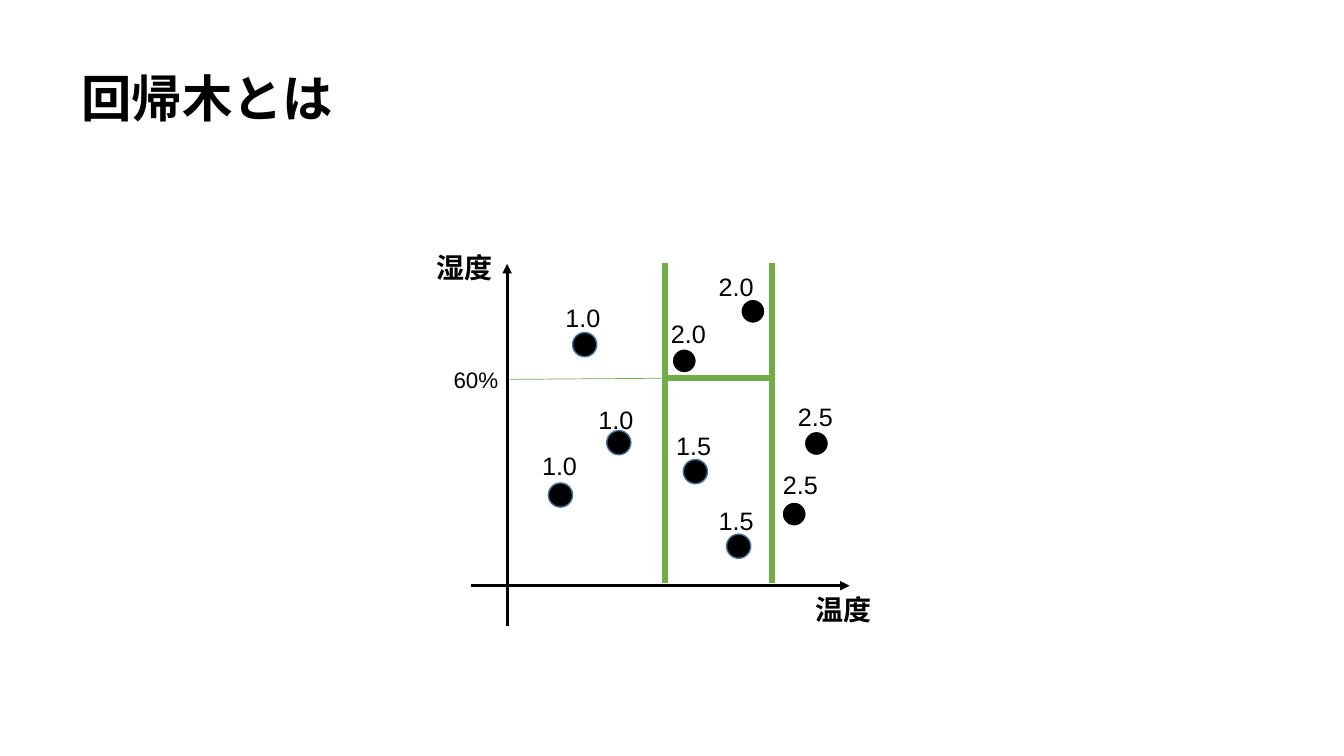
from dataclasses import dataclass

from lxml.etree import SubElement
from pptx import Presentation
from pptx.dml.color import RGBColor
from pptx.enum.shapes import MSO_CONNECTOR as Connector, MSO_SHAPE as Preset
from pptx.enum.text import MSO_ANCHOR as Anchor
from pptx.oxml.ns import qn
from pptx.util import Cm, Pt


@dataclass(frozen=True)
class Theme:
    ink: RGBColor = RGBColor(0x00, 0x00, 0x00)
    split: RGBColor = RGBColor(0x70, 0xAD, 0x47)
    blue_rim: RGBColor = RGBColor(0x43, 0x73, 0x9E)
    white_rim: RGBColor = RGBColor(0xFF, 0xFF, 0xFF)
    title_font: str = "Montserrat"
    body_font: str = "Arial"
    title_size: int = 36
    axis_size: int = 20
    value_size: int = 18
    tick_size: int = 16


THEME = Theme()

DOT_SIZE = 0.61
VALUE_BOX = (1.4, 1.02)
AXIS_BOX = (2.26, 1.12)

ORIGIN_X, ORIGIN_Y = 12.78, 14.76
SPLIT_TOP, SPLIT_BOTTOM = 6.63, 14.68
LOW_TEMPERATURE, HIGH_TEMPERATURE = 16.76, 19.46
HUMIDITY_SPLIT = 9.53

# Value, rim colour, dot corner, value label corner
SAMPLES = [
    ("1.0", THEME.blue_rim, (13.82, 12.17), (13.41, 11.23)),
    ("1.5", THEME.blue_rim, (17.22, 11.58), (16.79, 10.72)),
    ("1.0", THEME.blue_rim, (15.29, 10.85), (14.83, 10.06)),
    ("1.0", THEME.blue_rim, (14.43, 8.38), (14.0, 7.49)),
    ("1.5", THEME.blue_rim, (18.31, 13.46), (17.86, 12.6)),
    ("2.0", THEME.white_rim, (16.94, 8.79), (16.66, 7.9)),
    ("2.0", THEME.white_rim, (18.67, 7.54), (17.86, 6.71)),
    ("2.5", THEME.white_rim, (20.27, 10.87), (19.86, 9.98)),
    ("2.5", THEME.white_rim, (19.71, 12.65), (19.48, 11.71)),
]


def add_text(slide, text, corner, extent, size, font=THEME.body_font,
             bold=False, wrap=True, anchor=Anchor.TOP, spacing=1.0):
    box = slide.shapes.add_textbox(*map(Cm, corner + extent))
    frame = box.text_frame
    frame.word_wrap = wrap
    frame.vertical_anchor = anchor
    paragraph = frame.paragraphs[0]
    paragraph.line_spacing = spacing
    run = paragraph.add_run()
    run.text = text
    run.font.name = font
    run.font.size = Pt(size)
    run.font.bold = bold
    run.font.color.rgb = THEME.ink


def add_line(slide, start, end, color, width):
    connector = slide.shapes.add_connector(
        Connector.STRAIGHT, *map(Cm, start + end))
    connector.line.color.rgb = color
    connector.line.width = Pt(width)
    SubElement(connector._element.spPr, qn("a:effectLst"))
    return connector


def add_axis(slide, start, end):
    axis = add_line(slide, start, end, THEME.ink, 2.25)
    SubElement(axis.line._get_or_add_ln(), qn("a:tailEnd"), type="triangle")


def add_split(slide, start, end, width=4.5):
    """Draw a boundary where the regression tree divides the plane."""
    add_line(slide, start, end, THEME.split, width)


def add_dot(slide, corner, rim):
    dot = slide.shapes.add_shape(
        Preset.OVAL, *map(Cm, corner + (DOT_SIZE, DOT_SIZE)))
    dot.shadow.inherit = False
    dot.fill.solid()
    dot.fill.fore_color.rgb = THEME.ink
    dot.line.color.rgb = rim
    dot.line.width = Pt(1)


def main():
    deck = Presentation()
    deck.slide_width, deck.slide_height = Cm(33.87), Cm(19.05)
    slide = deck.slides.add_slide(deck.slide_layouts[6])

    add_text(slide, "回帰木とは", (1.8, 0.71), (29.21, 3.68), THEME.title_size,
             font=THEME.title_font, bold=True, anchor=Anchor.MIDDLE, spacing=0.9)

    for temperature in (LOW_TEMPERATURE, HIGH_TEMPERATURE):
        add_split(slide, (temperature, SPLIT_TOP), (temperature, SPLIT_BOTTOM))
    add_split(slide, (LOW_TEMPERATURE, HUMIDITY_SPLIT),
              (HIGH_TEMPERATURE, HUMIDITY_SPLIT))
    add_split(slide, (12.85, 9.56), (16.89, HUMIDITY_SPLIT), width=0.5)

    add_axis(slide, (ORIGIN_X, 15.77), (ORIGIN_X, 6.65))
    add_axis(slide, (11.86, ORIGIN_Y), (21.41, ORIGIN_Y))
    add_text(slide, "60%", (11.18, 9.09), (1.68, 0.94), THEME.tick_size)
    for name, corner in (("湿度", (10.74, 6.2)), ("温度", (20.29, 14.81))):
        add_text(slide, name, corner, AXIS_BOX, THEME.axis_size, bold=True)

    for value, rim, dot_corner, label_corner in SAMPLES:
        add_dot(slide, dot_corner, rim)
        add_text(slide, value, label_corner, VALUE_BOX, THEME.value_size,
                 wrap=False)

    deck.save("out.pptx")


if __name__ == "__main__":
    main()
